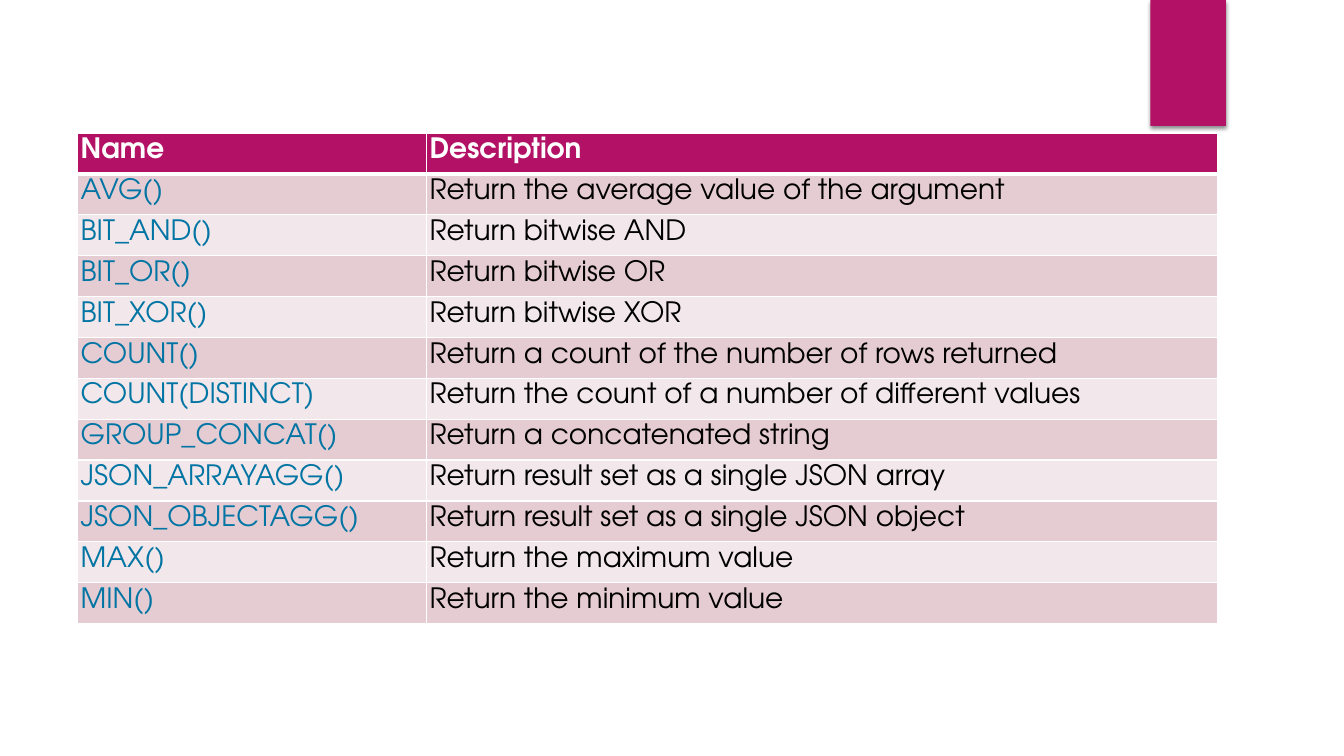
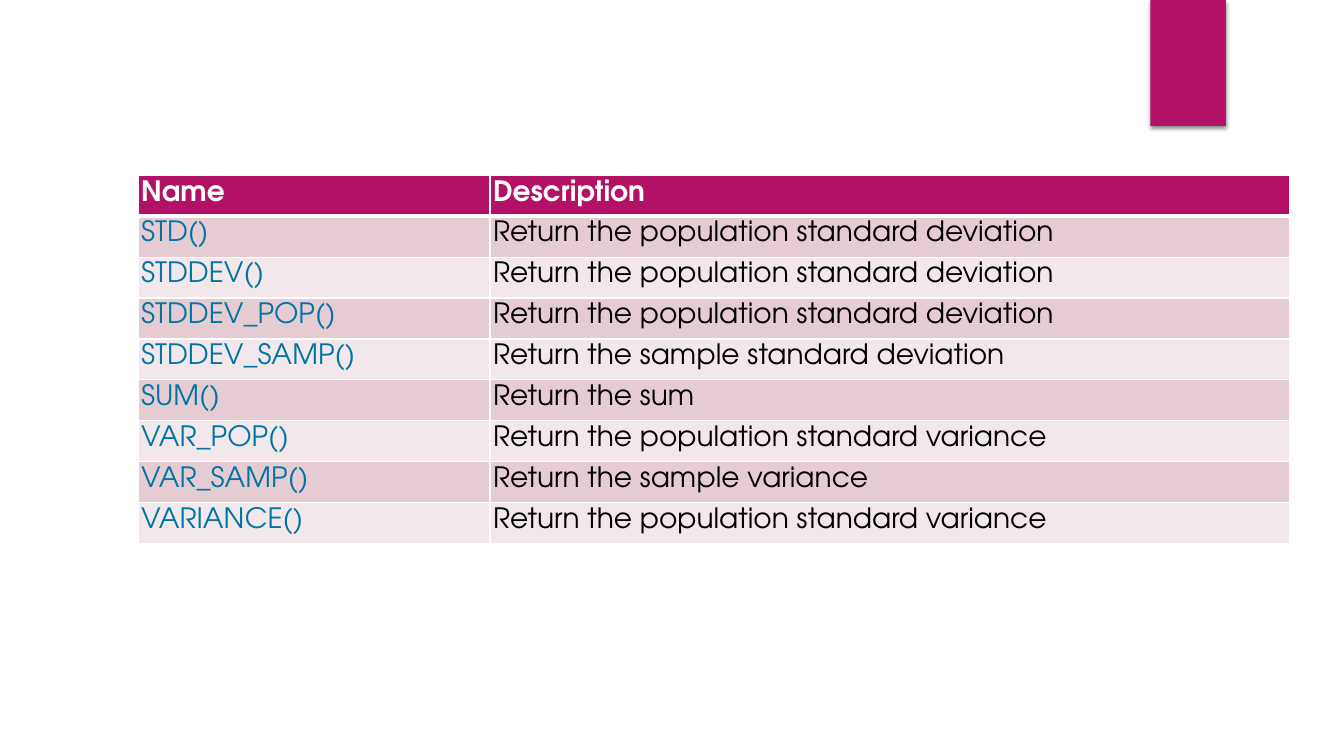
import pptx
import pptx.dml.color
import pptx.enum.shapes
import pptx.oxml
import pptx.oxml.ns
import pptx.util
from pptx.util import Inches, Pt

COLORS = {
    "accent": "B31166",
    "band_dark": "E5CCD3",
    "band_light": "F2E7EA",
    "link": "0074A3",
    "text": "000000",
    "white": "FFFFFF",
}
FONT = "TeX Gyre Adventor"
ROW_HEIGHT = Inches(4.87) // 12
CELL_MARGIN = Inches(0.03)
HEADER = ("Name", "Description")

TABLES = [
    {
        "left": 0.77, "top": 1.32, "columns": (3.46, 7.85),
        "rows": [
            ("AVG()", "Return the average value of the argument"),
            ("BIT_AND()", "Return bitwise AND"),
            ("BIT_OR()", "Return bitwise OR"),
            ("BIT_XOR()", "Return bitwise XOR"),
            ("COUNT()", "Return a count of the number of rows returned"),
            ("COUNT(DISTINCT)", "Return the count of a number of different values"),
            ("GROUP_CONCAT()", "Return a concatenated string"),
            ("JSON_ARRAYAGG()", "Return result set as a single JSON array"),
            ("JSON_OBJECTAGG()", "Return result set as a single JSON object"),
            ("MAX()", "Return the maximum value"),
            ("MIN()", "Return the minimum value"),
        ],
    },
    {
        "left": 1.37, "top": 1.74, "columns": (3.49, 7.93),
        "rows": [
            ("STD()", "Return the population standard deviation"),
            ("STDDEV()", "Return the population standard deviation"),
            ("STDDEV_POP()", "Return the population standard deviation"),
            ("STDDEV_SAMP()", "Return the sample standard deviation"),
            ("SUM()", "Return the sum"),
            ("VAR_POP()", "Return the population standard variance"),
            ("VAR_SAMP()", "Return the sample variance"),
            ("VARIANCE()", "Return the population standard variance"),
        ],
    },
]


def rgb(name):
    return pptx.dml.color.RGBColor.from_string(COLORS[name])


def add_xml(parent, xml):
    namespaces = pptx.oxml.ns.nsdecls("a")
    parent.append(pptx.oxml.parse_xml(xml.replace(">", f" {namespaces}>", 1)))


def add_corner_tab(slide):
    tab = slide.shapes.add_shape(
        pptx.enum.shapes.MSO_SHAPE.RECTANGLE,
        Inches(11.41), 0, Inches(0.75), Inches(1.25))
    tab.fill.solid()
    tab.fill.fore_color.rgb = rgb("accent")
    tab.line.fill.background()
    add_xml(tab._element.spPr, f"""<a:effectLst>
        <a:outerShdw blurRad="{Pt(3)}" dist="{Pt(2)}" dir="5400000" rotWithShape="0">
        <a:srgbClr val="{COLORS['text']}"><a:alpha val="45000"/></a:srgbClr>
        </a:outerShdw></a:effectLst>""")


def set_borders(cell, top, bottom):
    """Draw white cell borders; top and bottom are widths in points."""
    properties = cell._tc.get_or_add_tcPr()
    for side, width in (("L", 1), ("R", 1), ("T", top), ("B", bottom)):
        add_xml(properties, f"""<a:ln{side} w="{Pt(width)}"><a:solidFill>
            <a:srgbClr val="{COLORS['white']}"/></a:solidFill></a:ln{side}>""")


def fill_cell(cell, text, fill, color, bold):
    cell.fill.solid()
    cell.fill.fore_color.rgb = rgb(fill)
    cell.margin_left = cell.margin_right = CELL_MARGIN
    cell.margin_top = cell.margin_bottom = CELL_MARGIN
    cell.text_frame.text = text
    paragraph = cell.text_frame.paragraphs[0]
    paragraph.line_spacing = Pt(20)
    font = paragraph.runs[0].font
    font.name = FONT
    font.size = Pt(20)
    font.bold = bold
    font.color.rgb = rgb(color)


def add_function_table(slide, content):
    rows = [HEADER] + content["rows"]
    widths = [Inches(width) for width in content["columns"]]
    table = slide.shapes.add_table(
        len(rows), len(widths), Inches(content["left"]), Inches(content["top"]),
        sum(widths), ROW_HEIGHT * len(rows)).table
    for column, width in zip(table.columns, widths):
        column.width = width
    for row_index, row in enumerate(rows):
        is_header = row_index == 0
        if is_header:
            fill, text_colors = "accent", ("white", "white")
        else:
            fill = "band_dark" if row_index % 2 else "band_light"
            text_colors = ("link", "text")
        for column_index, text in enumerate(row):
            cell = table.cell(row_index, column_index)
            set_borders(cell, top=3 if row_index == 1 else 1,
                        bottom=3 if is_header else 1)
            fill_cell(cell, text, fill, text_colors[column_index], is_header)


def main():
    presentation = pptx.Presentation()
    presentation.slide_width = Inches(13.33)
    presentation.slide_height = Inches(7.5)
    for content in TABLES:
        slide = presentation.slides.add_slide(presentation.slide_layouts[6])
        add_corner_tab(slide)
        add_function_table(slide, content)
    presentation.save("out.pptx")


if __name__ == "__main__":
    main()
